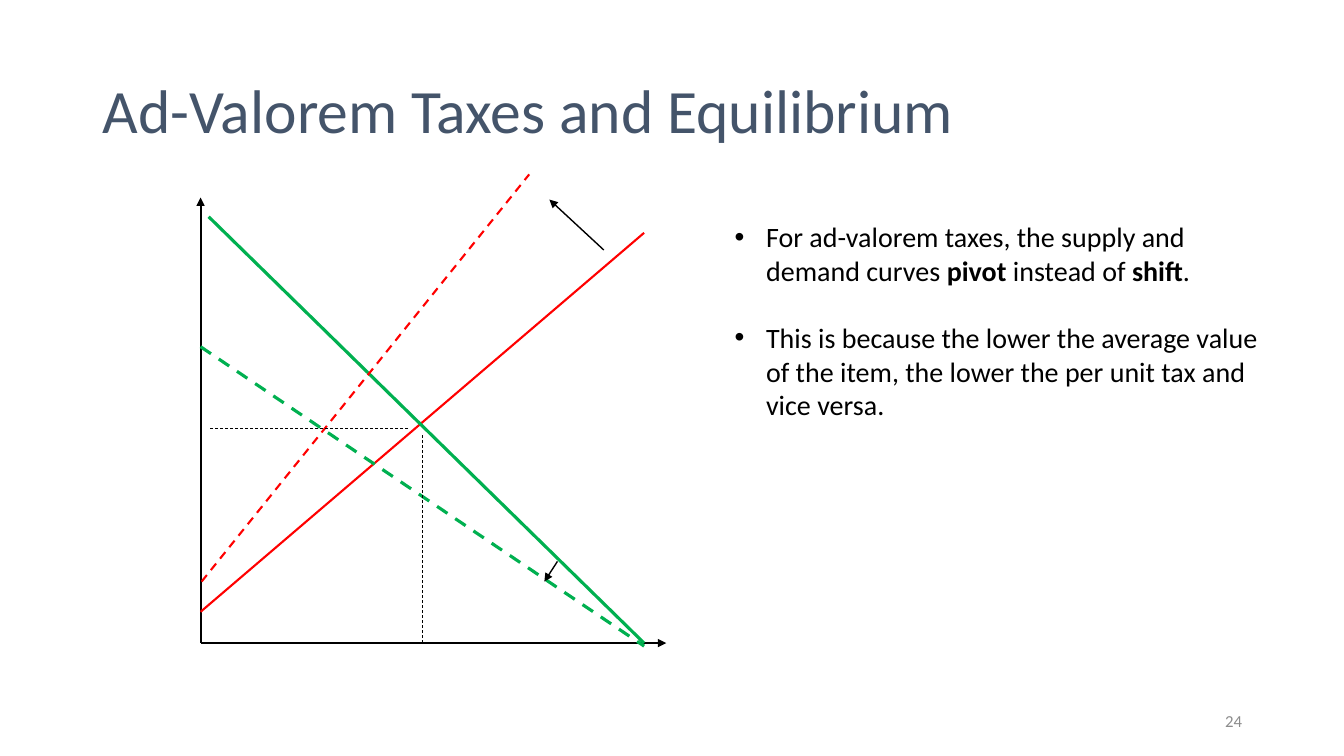
from lxml import etree
from pptx import Presentation
from pptx import util as u
from pptx.dml.color import RGBColor
from pptx.enum import dml, shapes, text
from pptx.oxml.ns import qn


def color(hex_string):
    return RGBColor.from_string(hex_string)


def write(paragraph, content, size=20, fill="000000", bold=False):
    run = paragraph.add_run()
    run.text = content
    run.font.name = "Calibri"
    run.font.size = u.Pt(size)
    run.font.bold = bold
    run.font.color.rgb = color(fill)


class Sketch:
    COLUMNS, ROWS = 133.33, 75
    BLACK, SUPPLY, DEMAND = "000000", "FF0000", "00B050"
    TITLE, MUTED = "44546A", "8C8C8C"

    def __init__(self, deck):
        self.cell_width = deck.slide_width / self.COLUMNS
        self.cell_height = deck.slide_height / self.ROWS
        self.slide = deck.slides.add_slide(deck.slide_layouts[6])
        self.diagram = self.slide.shapes.add_group_shape()

    def x(self, columns):
        return u.Emu(round(columns * self.cell_width))

    def y(self, rows):
        return u.Emu(round(rows * self.cell_height))

    def frame(self, left, top, width, height, anchor=text.MSO_ANCHOR.MIDDLE):
        box = self.slide.shapes.add_textbox(
            self.x(left), self.y(top), self.x(width), self.y(height))
        frame = box.text_frame
        frame.word_wrap = True
        frame.vertical_anchor = anchor
        return frame

    def bullets(self, place, items, gap):
        frame = self.frame(*place, anchor=text.MSO_ANCHOR.TOP)
        for index, runs in enumerate(items):
            paragraph = frame.add_paragraph() if index else frame.paragraphs[0]
            properties = paragraph._p.get_or_add_pPr()
            indent = self.x(3.12)
            properties.set("marL", str(indent))
            properties.set("indent", str(-indent))
            etree.SubElement(properties, qn("a:buFont"), typeface="Arial")
            etree.SubElement(properties, qn("a:buChar"), char="•")
            if index:
                paragraph.space_before = u.Pt(gap)
            for content, bold in runs:
                write(paragraph, content, bold=bold)

    def line(self, start, end, stroke=BLACK, width=1.5, dashed=False, arrow=False):
        connector = self.diagram.shapes.add_connector(
            shapes.MSO_CONNECTOR.STRAIGHT,
            self.x(start[0]), self.y(start[1]), self.x(end[0]), self.y(end[1]))
        connector.line.color.rgb = color(stroke)
        connector.line.width = u.Pt(width)
        if dashed:
            connector.line.dash_style = dml.MSO_LINE.DASH
        if arrow:
            etree.SubElement(connector.line._get_or_add_ln(), qn("a:tailEnd"), type="triangle")
        etree.SubElement(connector._element.spPr, qn("a:effectLst"))


def main():
    deck = Presentation()
    deck.slide_width, deck.slide_height = u.Inches(13.333), u.Inches(7.5)
    sketch = Sketch(deck)

    title = sketch.frame(9.2, 4, 115, 14.5).paragraphs[0]
    title.line_spacing = 0.9
    write(title, "Ad-Valorem Taxes and Equilibrium", size=44, fill=sketch.TITLE)

    page_number = sketch.frame(94.2, 69.5, 30, 4).paragraphs[0]
    page_number.alignment = text.PP_ALIGN.RIGHT
    write(page_number, "24", size=12, fill=sketch.MUTED)

    price_axis, quantity_axis, curve_end = 19.9, 63.8, 63.9
    origin = (price_axis, quantity_axis)
    for axis_tip in ((price_axis, 19.6), (66.1, quantity_axis)):
        sketch.line(origin, axis_tip, arrow=True)

    sketch.line((price_axis, 60.7), (curve_end, 23.1), sketch.SUPPLY)
    sketch.line((20.7, 21.5), (curve_end, quantity_axis), sketch.DEMAND, 2.25)
    sketch.line((20, 57.7), (52.5, 17.3), sketch.SUPPLY, dashed=True)
    sketch.line((price_axis, 34.4), (curve_end, 64.1), sketch.DEMAND, 2.25, dashed=True)

    sketch.line((40.5, 42.5), (20.7, 42.5), width=0.5, dashed=True)
    sketch.line((41.9, quantity_axis), (41.9, 43.1), width=0.5, dashed=True)

    for pivot_start, pivot_end in (((59.9, 24.8), (54.5, 19.8)),
                                   ((55.3, 55.7), (54, 57.7))):
        sketch.line(pivot_start, pivot_end, width=1, arrow=True)

    sketch.bullets((71.9, 21.3, 56.4, 34.7), (
        (("For ad-valorem taxes, the supply and demand curves ", False),
         ("pivot ", True), ("instead of ", False), ("shift", True), (".", False)),
        (("This is because the lower the average value of the item, "
          "the lower the per unit tax and vice versa.", False),),
    ), gap=24)

    deck.save("out.pptx")


if __name__ == "__main__":
    main()
